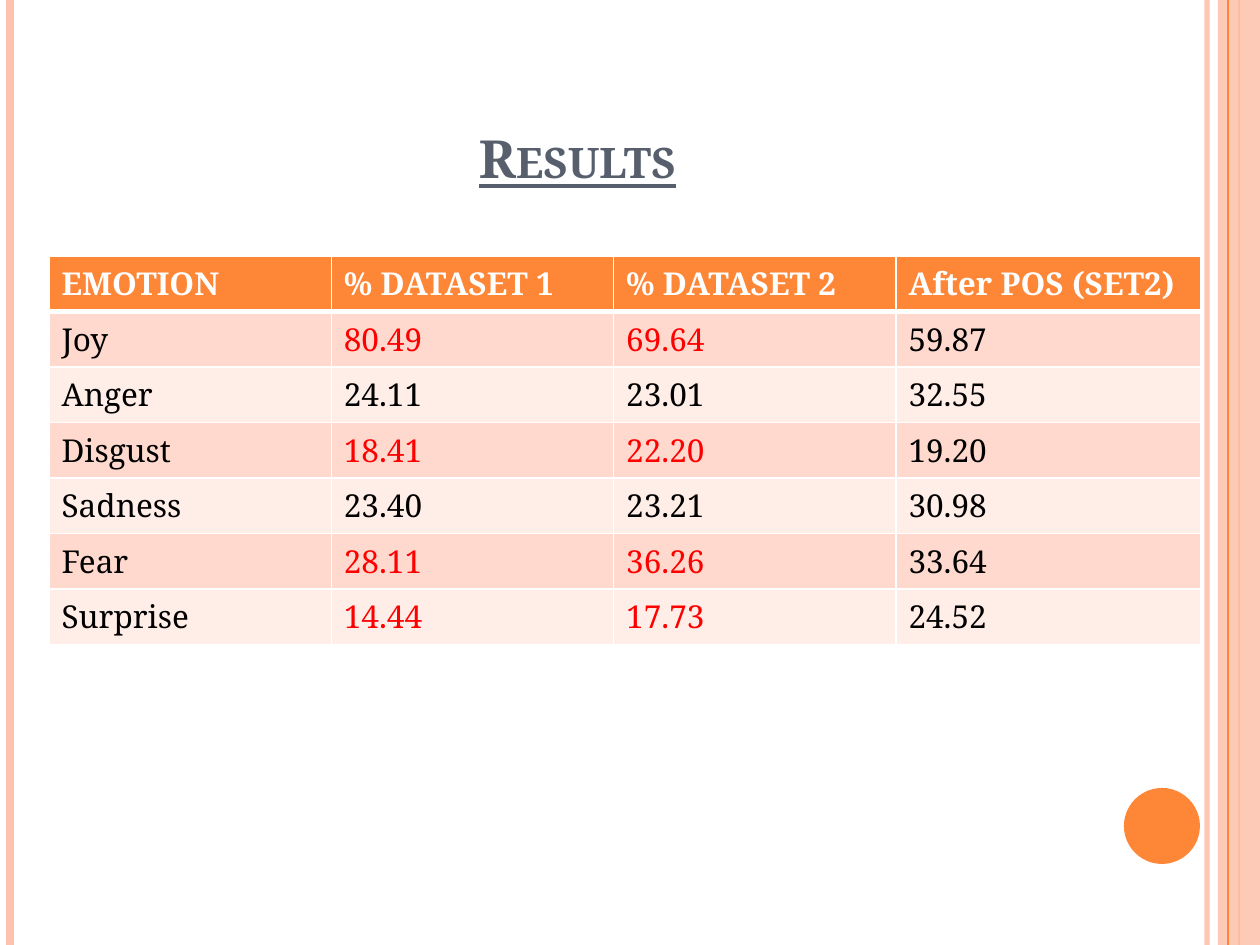
from pptx import Presentation
from pptx.dml.color import RGBColor
from pptx.enum.shapes import MSO_CONNECTOR as CONNECTOR, MSO_SHAPE as SHAPE
from pptx.enum.text import MSO_ANCHOR as ANCHOR, MSO_AUTO_SIZE as AUTO_SIZE, PP_ALIGN as ALIGN
from pptx.oxml.ns import qn
from pptx.util import Pt
from lxml.etree import SubElement

SCALE = 914400 // 126
FONT = "Noto Serif"
WHITE = RGBColor(0xFF, 0xFF, 0xFF)
BLACK = RGBColor(0, 0, 0)
RED = RGBColor(0xFF, 0, 0)
ORANGE = RGBColor(0xFE, 0x86, 0x37)
PEACH = RGBColor(0xFE, 0xC3, 0xAE)
SLATE = RGBColor(0x57, 0x5F, 0x6D)
BANDS = [RGBColor(0xFF, 0xD9, 0xCE), RGBColor(0xFF, 0xED, 0xE8)]

RESULTS = [
    ["EMOTION", "% DATASET 1", "% DATASET 2"],
    ["Joy", "80.49", "69.64"],
    ["Anger", "24.11", "23.01"],
    ["Disgust", "18.41", "22.20"],
    ["Sadness", "23.40", "23.21"],
    ["Fear", "28.11", "36.26"],
    ["Surprise", "14.44", "17.73"],
]
AFTER_POS = [[text] for text in (
    "After POS (SET2)", "59.87", "32.55", "19.20", "30.98", "33.64", "24.52")]
RED_EMOTIONS = {"Joy", "Disgust", "Fear", "Surprise"}


def px(*lengths):
    return [length * SCALE for length in lengths]


def set_alpha(properties, percent):
    color = properties.find(".//" + qn("a:srgbClr"))
    SubElement(color, qn("a:alpha")).set("val", str(percent * 1000))


def format_run(run, size, color, bold):
    run.font.name = FONT
    run.font.size = Pt(size)
    run.font.bold = bold
    run.font.color.rgb = color


def add_stripe(slide, x, height, color, width, alpha=100):
    line = slide.shapes.add_connector(CONNECTOR.STRAIGHT, *px(x, 0, x, height))
    line.line.color.rgb = color
    line.line.width = Pt(width)
    properties = line._element.spPr
    if alpha < 100:
        set_alpha(properties, alpha)
    SubElement(properties, qn("a:effectLst"))


def add_plain_shape(slide, kind, box, color):
    shape = slide.shapes.add_shape(kind, *px(*box))
    shape.shadow.inherit = False
    shape.fill.solid()
    shape.fill.fore_color.rgb = color
    shape.line.fill.background()
    return shape


def add_frame(slide, width, height):
    add_stripe(slide, width - 53, height, PEACH, 3, 93)
    add_stripe(slide, 10, height, PEACH, 4.5)
    add_stripe(slide, width - 21, height, ORANGE, 1.5)
    band = add_plain_shape(slide, SHAPE.RECTANGLE, (width - 42, 0, 42, height), PEACH)
    set_alpha(band._element.spPr, 87)
    add_stripe(slide, width - 32, height, ORANGE, 0.75)
    add_plain_shape(slide, SHAPE.OVAL, (width - 136, height - 157, 76, 76), ORANGE)


def set_title(slide, text, box):
    title = slide.shapes.title
    title.left, title.top, title.width, title.height = px(*box)
    frame = title.text_frame
    frame.text = text
    frame.auto_size = AUTO_SIZE.NONE
    frame.vertical_anchor = ANCHOR.BOTTOM
    paragraph = frame.paragraphs[0]
    paragraph.alignment = ALIGN.CENTER
    run = paragraph.runs[0]
    format_run(run, 30, SLATE, True)
    run.font.underline = True
    run.font._element.set("cap", "small")


def set_borders(cell, bottom_width):
    properties = cell._tc.get_or_add_tcPr()
    widths = {"a:lnL": 1, "a:lnR": 1, "a:lnT": 1, "a:lnB": bottom_width}
    for position, (tag, width) in enumerate(widths.items()):
        border = SubElement(properties, qn(tag))
        border.set("w", str(Pt(width)))
        fill = SubElement(border, qn("a:solidFill"))
        SubElement(fill, qn("a:srgbClr")).set("val", str(WHITE))
        properties.insert(position, border)


def add_results_table(slide, rows, box):
    table = slide.shapes.add_table(len(rows), len(rows[0]), *px(*box)).table
    for row_index, row in enumerate(rows):
        header = row_index == 0
        for column_index, text in enumerate(row):
            cell = table.cell(row_index, column_index)
            cell.text = text
            cell.fill.solid()
            cell.fill.fore_color.rgb = ORANGE if header else BANDS[(row_index - 1) % 2]
            red = column_index > 0 and row[0] in RED_EMOTIONS
            color = WHITE if header else RED if red else BLACK
            format_run(cell.text_frame.paragraphs[0].runs[0], 18, color, header)
            set_borders(cell, 3 if header else 1)


def add_results_slide(presentation, width, height):
    slide = presentation.slides.add_slide(presentation.slide_layouts[5])
    add_frame(slide, width, height)
    set_title(slide, "Results", (63, 38, 1029, 157))
    add_results_table(slide, RESULTS, (49, 256, 847, 358))
    add_results_table(slide, AFTER_POS, (896, 256, 305, 358))


presentation = Presentation()
presentation.slide_width, presentation.slide_height = px(1260, 945)
add_results_slide(presentation, 1260, 945)
presentation.save("out.pptx")
